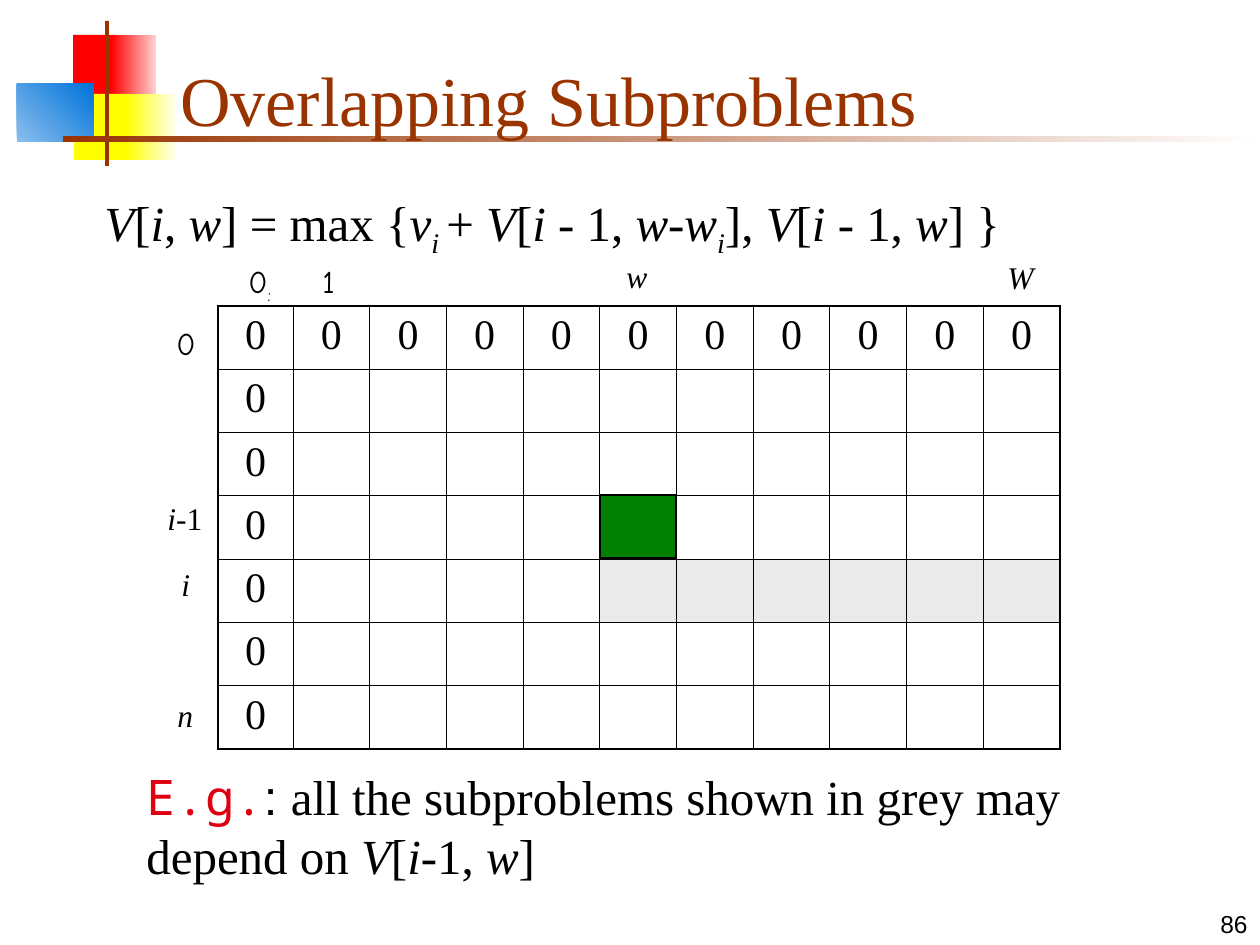
"""Builds a slide on the overlapping subproblems of the knapsack table."""
import lxml.etree
import pptx
import pptx.dml.color
import pptx.enum.shapes
import pptx.enum.text
import pptx.oxml.ns
import pptx.util

RGB = pptx.dml.color.RGBColor.from_string
ALIGN = pptx.enum.text.PP_ALIGN
ANCHOR = pptx.enum.text.MSO_ANCHOR
RECT = pptx.enum.shapes.MSO_SHAPE.RECTANGLE
PX = 914400 / 126

theme = {
    "ink": "000000", "rust": "993300", "red": "FF0000", "pink": "FFD1D1",
    "yellow": "FFFF00", "cream": "FFFFF0", "sky": "8BBFEE", "blue": "0073D9",
    "white": "FFFFFF", "green": "007F00", "grey": "EAEAEA", "alert": "DD0111",
    "serif": "Times New Roman", "sans": "Arial", "hand": "Comic Neue",
    "mono": "Noto Sans Mono",
    "title": 40, "body": 28, "cell": 24, "label": 18, "page": 14,
}

deck = pptx.Presentation()
deck.slide_width = pptx.util.Inches(10)
deck.slide_height = pptx.util.Inches(7.5)
slide = deck.slides.add_slide(deck.slide_layouts[6])


def block(box, first, last=None, angle=0):
    """Add a plain rectangle, with a gradient if two colours are given."""
    shape = slide.shapes.add_shape(RECT, *(round(n * PX) for n in box))
    shape.shadow.inherit = False
    shape.line.fill.background()
    if last:
        shape.fill.gradient()
        shape.fill.gradient_angle = angle
        for stop, name in zip(shape.fill.gradient_stops, (first, last)):
            stop.color.rgb = RGB(theme[name])
    else:
        shape.fill.solid()
        shape.fill.fore_color.rgb = RGB(theme[first])
    return shape


def write(box, text, size, face="serif", color="ink", wrap=True, anchor=ANCHOR.TOP):
    """Add a text box where *marks* hold italics and a leading _ lowers a run."""
    frame = slide.shapes.add_textbox(*(round(n * PX) for n in box)).text_frame
    frame.word_wrap = wrap
    frame.vertical_anchor = anchor
    par = frame.paragraphs[0]
    par.font.name = theme[face]
    par.font.size = pptx.util.Pt(theme[size])
    par.font.color.rgb = RGB(theme[color])
    pieces = [(n % 2 == 1, part) for n, part in enumerate(text.split("*")) if part]
    slants = {slant for slant, part in pieces}
    if slants == {True}:
        par.font.italic = True
    for slant, part in pieces:
        run = par.add_run()
        run.text = part.removeprefix("_")
        if len(slants) > 1 and slant:
            run.font.italic = True
        if part.startswith("_"):
            run.font._element.set("baseline", "-25000")
    return par


for box, *look in [
    ((73, 35, 44, 66), "red"),
    ((111, 35, 45, 66), "red", "pink"),
    ((74, 94, 58, 66), "yellow"),
    ((126, 94, 50, 66), "yellow", "cream"),
    ((17, 84, 77, 58), "sky", "blue", 45),
    ((105, 21, 4, 145), "rust"),
    ((63, 136, 1197, 6), "rust", "white"),
]:
    block(box, *look)

page = write((998, 882, 262, 63), "86", "page", "sans", anchor=ANCHOR.BOTTOM)
page.alignment = ALIGN.RIGHT
write((168, 32, 1074, 115), "Overlapping Subproblems", "title", color="rust",
      anchor=ANCHOR.BOTTOM)

mark = block((600, 495, 76, 63), "green")
mark.line.color.rgb = RGB(theme["ink"])
mark.line.width = pptx.util.Pt(0.75)

rows, cols = 7, 11
frame = slide.shapes.add_table(rows, cols, *(round(n * PX) for n in (218, 306, 842, 443)))
grid = frame.table
grid.first_row = grid.horz_banding = False
for c, col in enumerate(grid.columns):
    col.width = round((76.7 if c else 75) * PX)

for r in range(rows):
    for c in range(cols):
        cell = grid.cell(r, c)
        edges = {"L": c == 0, "R": c == cols - 1, "T": r == 0, "B": r == rows - 1}
        props = cell._tc.get_or_add_tcPr()
        for side, outer in edges.items():
            width = pptx.util.Pt(1.08 if outer else 0.45)
            line = lxml.etree.SubElement(
                props, pptx.oxml.ns.qn("a:ln" + side), w=str(width))
            fill = lxml.etree.SubElement(line, pptx.oxml.ns.qn("a:solidFill"))
            lxml.etree.SubElement(fill, pptx.oxml.ns.qn("a:srgbClr"), val=theme["ink"])
        if r == 4 and c >= 5:
            cell.fill.solid()
            cell.fill.fore_color.rgb = RGB(theme["grey"])
        else:
            cell.fill.background()
        if r == 0 or c == 0:
            par = cell.text_frame.paragraphs[0]
            par.text = "0"
            par.alignment = ALIGN.CENTER
            par.space_before = pptx.util.Pt(6)
            par.font.name = theme["serif"]
            par.font.size = pptx.util.Pt(theme["cell"])
            par.font.color.rgb = RGB(theme["ink"])

for left, top, width, text, face in [
    (236, 256, 48, "0**_:", "hand"),
    (310, 256, 38, "1", "hand"),
    (614, 251, 45, "*w*", "serif"),
    (995, 252, 52, "*W*", "serif"),
    (164, 318, 44, "0", "hand"),
    (155, 493, 60, "*i*-1", "serif"),
    (169, 559, 34, "*i*", "serif"),
    (165, 690, 40, "*n*", "serif"),
]:
    write((left, top, width, 50), text, "label", face, wrap=False)

rule = write(
    (92, 186, 1086, 100),
    "*V*[*i*, *w*] = max {*v**_i *+ *V*[*i* - 1, *w*-*w**_i*], *V*[*i* - 1, *w*] }",
    "body")
rule.space_before = pptx.util.Pt(7)

note = write(
    (134, 760, 1004, 131),
    "E.g.**: **all the subproblems shown in grey may depend on *V*[*i*-1, *w*]",
    "body")
lead, colon = note.runs[:2]
lead.font.name = theme["mono"]
lead.font.color.rgb = RGB(theme["alert"])
colon.font.name = theme["sans"]

deck.save("out.pptx")
